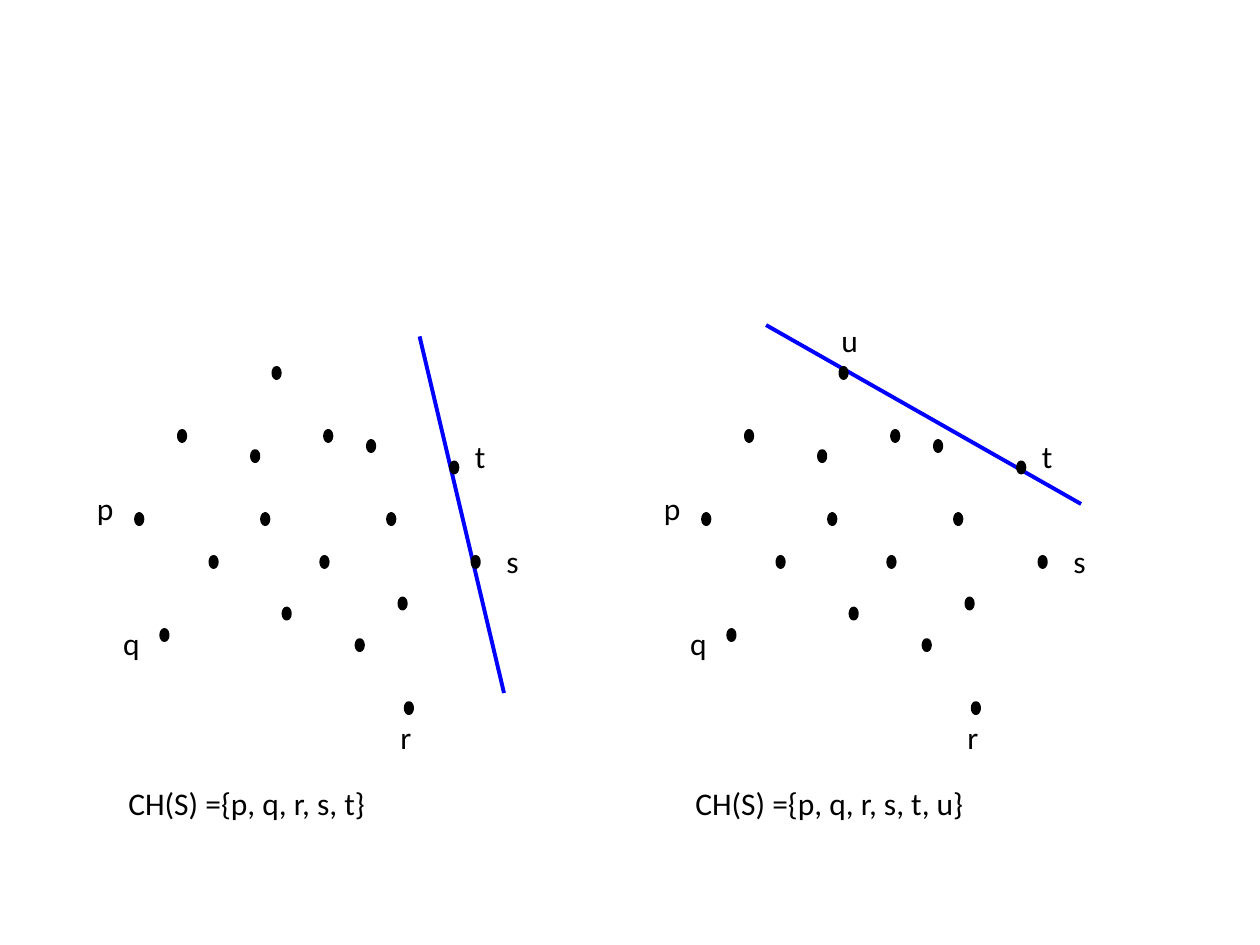
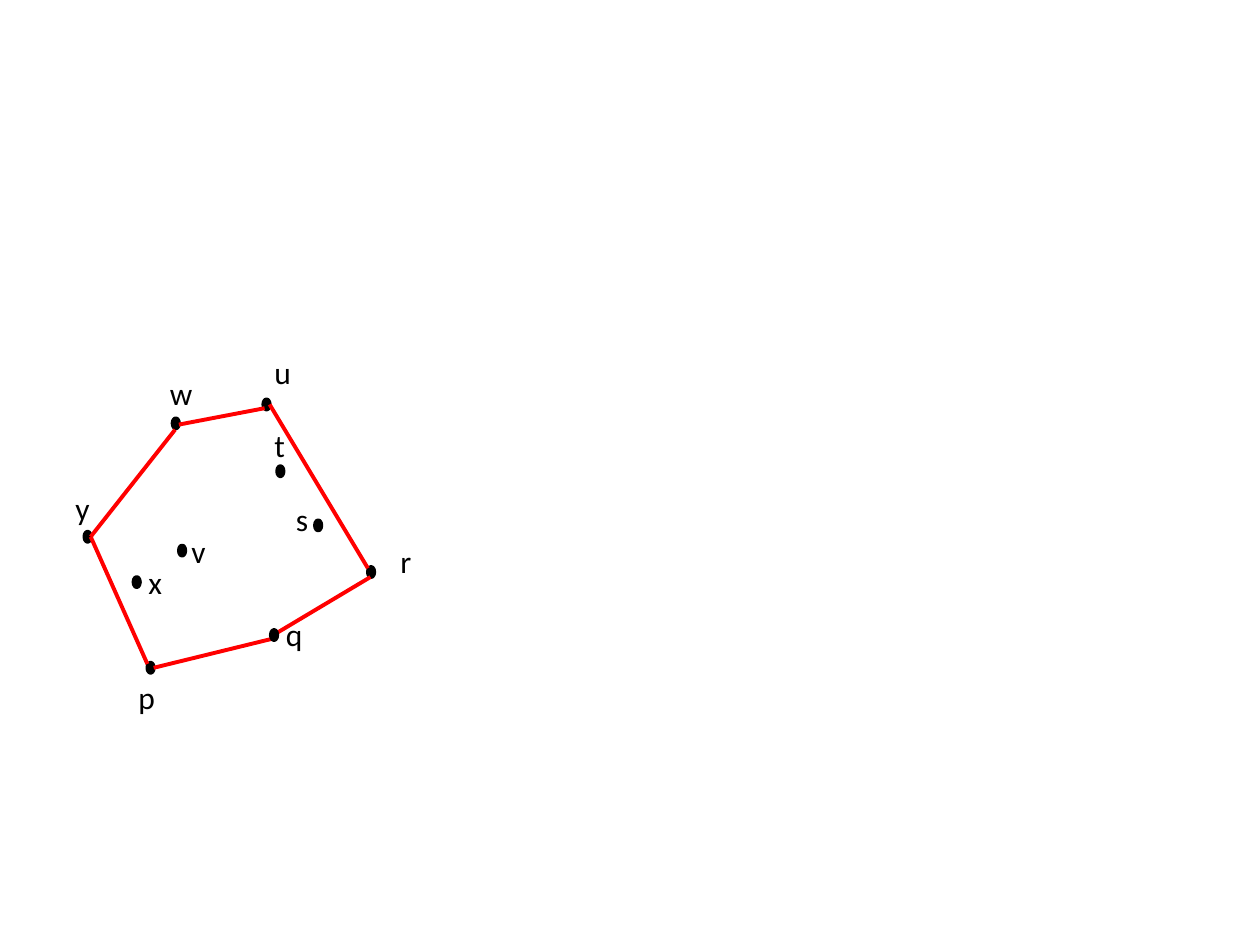
from lxml import etree
from pptx import Presentation
from pptx.dml.color import RGBColor
from pptx.enum import shapes, text
from pptx.oxml.ns import qn
from pptx.util import Inches, Pt

BLACK, BLUE, RED = "000000", "0000FF", "FF0000"
FONT = "Calibri"
STROKE = Pt(2.25)
DOT_WIDTH, DOT_HEIGHT = 0.05, 0.08
LABEL_WIDTH, LABEL_HEIGHT = 0.5, 0.42

POINT_SET = [
    (1.42, 3.42), (1.67, 4.42), (2.25, 4.83), (1.28, 5), (2.17, 2.92),
    (2.58, 3.42), (3.08, 4.08), (2.55, 4.42), (3.58, 3.67), (3.75, 4.42),
    (3.17, 4.75), (3.22, 5.58), (2, 3.58), (1.08, 4.08), (2.92, 3.5),
    (2.08, 4.08), (2.83, 5.08),
]
SET_LABELS = {
    "p": (0.67, 3.83), "q": (0.88, 4.9), "r": (3.08, 5.65),
    "s": (3.92, 4.25), "t": (3.67, 3.42), "u": (2.08, 2.5),
}
CAPTION_AT = (0.92, 6.17)
STEPS = [
    {"offset": 0, "hull": "pqrst", "caption_width": 2.11,
     "tangent": ((4, 5.5), (3.33, 2.67))},
    {"offset": 4.5, "hull": "pqrstu", "caption_width": 2.36,
     "tangent": ((4.08, 4), (1.58, 2.58))},
]

POLYGON_POINTS = {
    "v": (1.42, 4.33), "t": (2.2, 3.7), "y": (0.67, 4.22),
    "s": (2.5, 4.13), "u": (2.09, 3.17), "r": (2.92, 4.5),
    "w": (1.37, 3.32), "x": (1.06, 4.58), "p": (1.17, 5.26),
}
TOP_POINT = (2.15, 5)
POLYGON_LABELS = {
    "p": (1, 5.33), "q": (2.17, 4.83), "r": (3.08, 4.25), "s": (2.25, 3.92),
    "t": (2.08, 3.33), "u": (2.08, 2.75), "v": (1.42, 4.17),
    "w": (1.25, 2.92), "y": (0.5, 3.83), "x": (1.08, 4.42),
}
POLYGON_EDGES = [
    ((1.22, 5.3), (2.16, 5.07)), ((2.17, 5.04), (2.94, 4.58)),
    ((2.92, 4.51), (2.14, 3.21)), ((2.1, 3.24), (1.42, 3.37)),
    ((1.39, 3.41), (0.72, 4.26)), ((0.72, 4.26), (1.17, 5.27)),
]


def color(value):
    return RGBColor.from_string(value)


def shift(position, offset):
    return position[0] + offset, position[1]


def add_dot(slide, position):
    x, y = position
    dot = slide.shapes.add_shape(
        shapes.MSO_SHAPE.OVAL, Inches(x), Inches(y),
        Inches(DOT_WIDTH), Inches(DOT_HEIGHT))
    dot.shadow.inherit = False
    dot.fill.solid()
    dot.fill.fore_color.rgb = color(BLACK)
    dot.line.color.rgb = color(BLACK)
    dot.line.width = STROKE


def add_line(slide, start, end, stroke_color):
    line = slide.shapes.add_connector(
        shapes.MSO_CONNECTOR.STRAIGHT, *map(Inches, (*start, *end)))
    line.line.color.rgb = color(stroke_color)
    line.line.width = STROKE
    etree.SubElement(line._element.spPr, qn("a:effectLst"))


def add_text(slide, words, position, width=LABEL_WIDTH, height=LABEL_HEIGHT,
             wrap=True, align=None, size=18):
    x, y = position
    box = slide.shapes.add_textbox(
        Inches(x), Inches(y), Inches(width), Inches(height))
    frame = box.text_frame
    frame.word_wrap = wrap
    frame.auto_size = text.MSO_AUTO_SIZE.SHAPE_TO_FIT_TEXT
    paragraph = frame.paragraphs[0]
    paragraph.alignment = align
    run = paragraph.add_run()
    run.text = words
    run.font.name = FONT
    run.font.size = Pt(size)
    run.font.color.rgb = color(BLACK)


def add_step(slide, offset, hull, caption_width, tangent):
    start, end = (shift(position, offset) for position in tangent)
    add_line(slide, start, end, BLUE)
    for position in POINT_SET:
        add_dot(slide, shift(position, offset))
    for letter in hull:
        add_text(slide, letter, shift(SET_LABELS[letter], offset))
    caption = "CH(S) ={" + ", ".join(hull) + "}"
    add_text(slide, caption, shift(CAPTION_AT, offset), width=caption_width,
             height=0.4, wrap=False, align=text.PP_ALIGN.JUSTIFY)


def add_polygon(slide):
    for position in POLYGON_POINTS.values():
        add_dot(slide, position)
    for start, end in POLYGON_EDGES:
        add_line(slide, start, end, RED)
    add_dot(slide, TOP_POINT)
    for letter, position in POLYGON_LABELS.items():
        add_text(slide, letter, position)


def main():
    deck = Presentation()
    deck.slide_width, deck.slide_height = Inches(10), Inches(7.5)
    blank = deck.slide_layouts[6]
    wrapping = deck.slides.add_slide(blank)
    for step in STEPS:
        add_step(wrapping, **step)
    add_polygon(deck.slides.add_slide(blank))
    deck.save("out.pptx")


if __name__ == "__main__":
    main()
